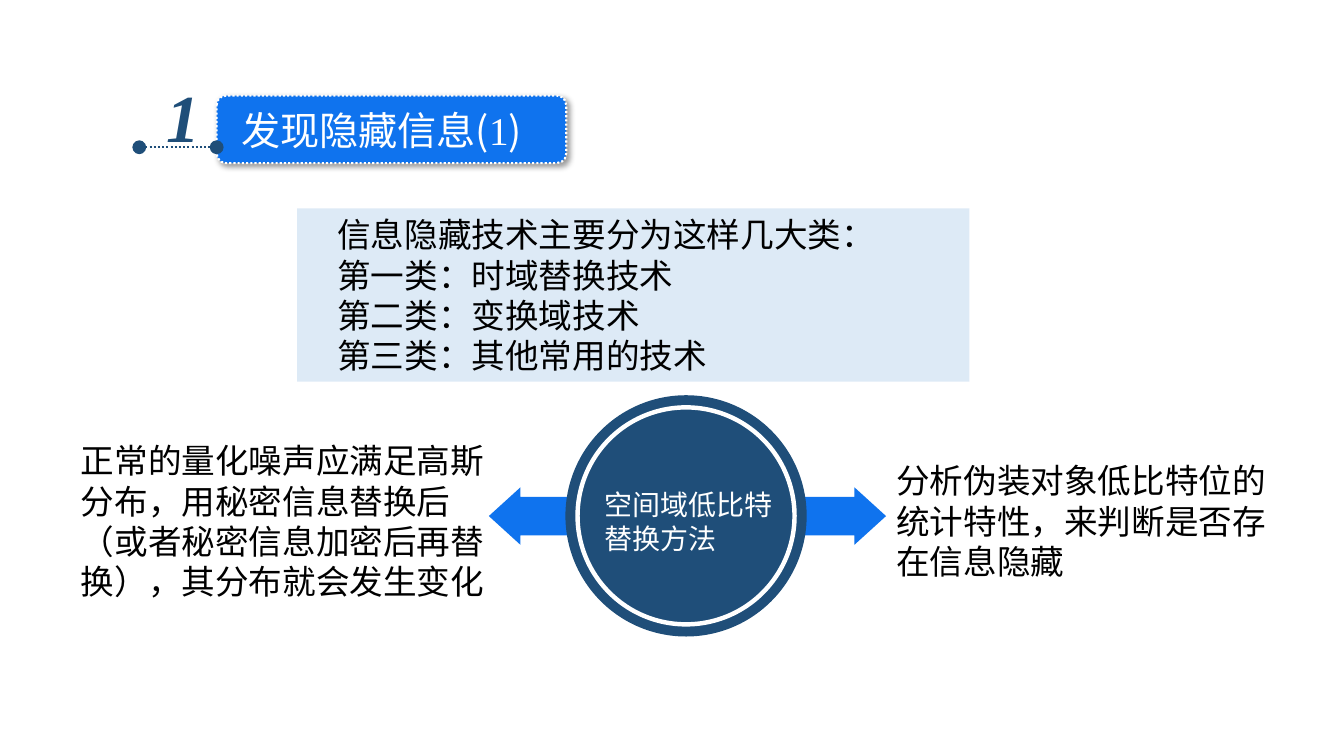
from dataclasses import dataclass

import lxml.etree
import pptx
import pptx.dml.color
import pptx.enum.dml
import pptx.enum.shapes
import pptx.enum.text
import pptx.oxml
import pptx.oxml.ns
import pptx.util

Cm = pptx.util.Cm
Pt = pptx.util.Pt
RGB = pptx.dml.color.RGBColor
SHAPE = pptx.enum.shapes.MSO_SHAPE
ALIGN = pptx.enum.text.PP_ALIGN
qn = pptx.oxml.ns.qn


@dataclass(frozen=True)
class Theme:
    chinese: str = "Noto Sans CJK SC"
    latin: str = "Times New Roman"
    blue: RGB = RGB(0x0F, 0x73, 0xEE)
    navy: RGB = RGB(0x1F, 0x4E, 0x79)
    pale: RGB = RGB(0xBD, 0xD7, 0xEE)
    white: RGB = RGB(0xFF, 0xFF, 0xFF)
    black: RGB = RGB(0, 0, 0)
    number_size: int = 48
    title_size: int = 28
    body_size: int = 24
    circle_size: int = 20


THEME = Theme()


@dataclass(frozen=True)
class Box:
    """Place and size in centimetres."""
    left: float
    top: float
    width: float
    height: float

    def lengths(self) -> tuple:
        return Cm(self.left), Cm(self.top), Cm(self.width), Cm(self.height)


@dataclass(frozen=True)
class Figure:
    kind: SHAPE
    box: Box
    fill: RGB
    adjustments: tuple = ()


@dataclass(frozen=True)
class Label:
    box: Box
    text: str
    size: int
    color: RGB


def circle_box(radius: float) -> Box:
    center_x, center_y = 17.29, 13.0
    return Box(center_x - radius, center_y - radius, 2 * radius, 2 * radius)


BANNER = Figure(SHAPE.ROUNDED_RECTANGLE, Box(5.46, 2.41, 8.81, 1.7), THEME.blue, (0.14,))
TITLE_BOX = Box(5.82, 2.54, 8.2, 1.45)
TITLE_RUNS = (("发现隐藏信息(", THEME.chinese), ("1", THEME.latin), (")", THEME.chinese))
NUMBER_BOX = Box(3.94, 1.78, 1.37, 2.31)
PANEL = Figure(SHAPE.RECTANGLE, Box(7.49, 5.25, 16.94, 4.37), THEME.pale)
PANEL_LINES = (
    "信息隐藏技术主要分为这样几大类：",
    "第一类：时域替换技术",
    "第二类：变换域技术",
    "第三类：其他常用的技术",
)
DIAGRAM = (
    Figure(SHAPE.RIGHT_ARROW, Box(18.85, 12.28, 3.48, 1.45), THEME.blue, (0.67, 0.55)),
    Figure(SHAPE.LEFT_ARROW, Box(12.32, 12.28, 3.35, 1.45), THEME.blue, (0.67, 0.55)),
    Figure(SHAPE.OVAL, circle_box(3.04), THEME.navy),
    Figure(SHAPE.DONUT, circle_box(2.79), THEME.white, (0.02,)),
)
LABELS = (
    Label(Box(14.99, 12.17, 5.18, 1.96), "空间域低比特替换方法", THEME.circle_size, THEME.white),
    Label(Box(1.79, 10.97, 11.38, 4.37),
          "正常的量化噪声应满足高斯分布，用秘密信息替换后（或者秘密信息加密后再替换），其分布就会发生变化",
          THEME.body_size, THEME.black),
    Label(Box(22.34, 11.47, 10.52, 3.33),
          "分析伪装对象低比特位的统计特性，来判断是否存在信息隐藏",
          THEME.body_size, THEME.black),
)


def add_run(paragraph, text: str, font_name: str, size: int, color: RGB):
    run = paragraph.add_run()
    run.text = text
    run.font.size = Pt(size)
    run.font.color.rgb = color
    run.font.name = font_name
    east_asian = lxml.etree.SubElement(run.font._element, qn("a:ea"))
    east_asian.set("typeface", font_name)
    return run


def add_figure(slide, figure: Figure):
    shape = slide.shapes.add_shape(figure.kind, *figure.box.lengths())
    for index, value in enumerate(figure.adjustments):
        shape.adjustments[index] = value
    shape.shadow.inherit = False
    shape.fill.solid()
    shape.fill.fore_color.rgb = figure.fill
    shape.line.fill.background()
    return shape


def dot_line(line, color: RGB) -> None:
    line.color.rgb = color
    line.width = Pt(1.5)
    line.dash_style = pptx.enum.dml.MSO_LINE.ROUND_DOT


def add_banner(slide):
    banner = add_figure(slide, BANNER)
    dot_line(banner.line, THEME.white)
    effects = banner._element.spPr.find(qn("a:effectLst"))
    effects.append(pptx.oxml.parse_xml(
        '<a:outerShdw xmlns:a="http://schemas.openxmlformats.org/drawingml/2006/main"'
        ' blurRad="50800" dist="38100" dir="2700000" algn="tl" rotWithShape="0">'
        '<a:srgbClr val="000000"><a:alpha val="40000"/></a:srgbClr></a:outerShdw>'))
    return banner


def place_title(slide, banner) -> None:
    """Set the title placeholder in front of the banner, on one line."""
    title = slide.shapes.title
    title.left, title.top, title.width, title.height = TITLE_BOX.lengths()
    banner._element.addnext(title._element)
    frame = title.text_frame
    frame.auto_size = pptx.enum.text.MSO_AUTO_SIZE.NONE
    frame.vertical_anchor = pptx.enum.text.MSO_ANCHOR.TOP
    frame.word_wrap = True
    frame.margin_right = Cm(0)
    paragraph = frame.paragraphs[0]
    paragraph.alignment = ALIGN.LEFT
    for text, font_name in TITLE_RUNS:
        add_run(paragraph, text, font_name, THEME.title_size, THEME.white)


def add_number(slide) -> None:
    frame = slide.shapes.add_textbox(*NUMBER_BOX.lengths()).text_frame
    frame.word_wrap = False
    run = add_run(frame.paragraphs[0], "1", THEME.latin, THEME.number_size, THEME.navy)
    run.font.bold = run.font.italic = True


def add_number_line(slide) -> None:
    connector = slide.shapes.add_connector(
        pptx.enum.shapes.MSO_CONNECTOR.STRAIGHT, Cm(3.51), Cm(3.71), Cm(5.46), Cm(3.71))
    dot_line(connector.line, THEME.navy)
    outline = connector.line._get_or_add_ln()
    for end in ("a:headEnd", "a:tailEnd"):
        dot = lxml.etree.SubElement(outline, qn(end))
        for name, value in (("type", "oval"), ("w", "lg"), ("len", "lg")):
            dot.set(name, value)
    lxml.etree.SubElement(connector._element.spPr, qn("a:effectLst"))


def add_panel(slide) -> None:
    panel = add_figure(slide, PANEL)
    color = panel._element.spPr.find(qn("a:solidFill"))[0]
    lxml.etree.SubElement(color, qn("a:alpha")).set("val", "50000")
    frame = panel.text_frame
    frame.word_wrap = True
    for index, text in enumerate(PANEL_LINES):
        paragraph = frame.add_paragraph() if index else frame.paragraphs[0]
        paragraph.alignment = ALIGN.JUSTIFY
        paragraph._element.get_or_add_pPr().set("indent", str(Cm(0.76)))
        add_run(paragraph, text, THEME.chinese, THEME.body_size, THEME.black)


def add_label(slide, label: Label) -> None:
    frame = slide.shapes.add_textbox(*label.box.lengths()).text_frame
    frame.word_wrap = True
    add_run(frame.paragraphs[0], label.text, THEME.chinese, label.size, label.color)


def main() -> None:
    presentation = pptx.Presentation()
    presentation.slide_width, presentation.slide_height = Cm(33.87), Cm(19.05)
    slide = presentation.slides.add_slide(presentation.slide_layouts.get_by_name("Title Only"))
    place_title(slide, add_banner(slide))
    add_number(slide)
    add_number_line(slide)
    for figure in DIAGRAM:
        add_figure(slide, figure)
    for label in LABELS:
        add_label(slide, label)
    add_panel(slide)
    presentation.save("out.pptx")


if __name__ == "__main__":
    main()
